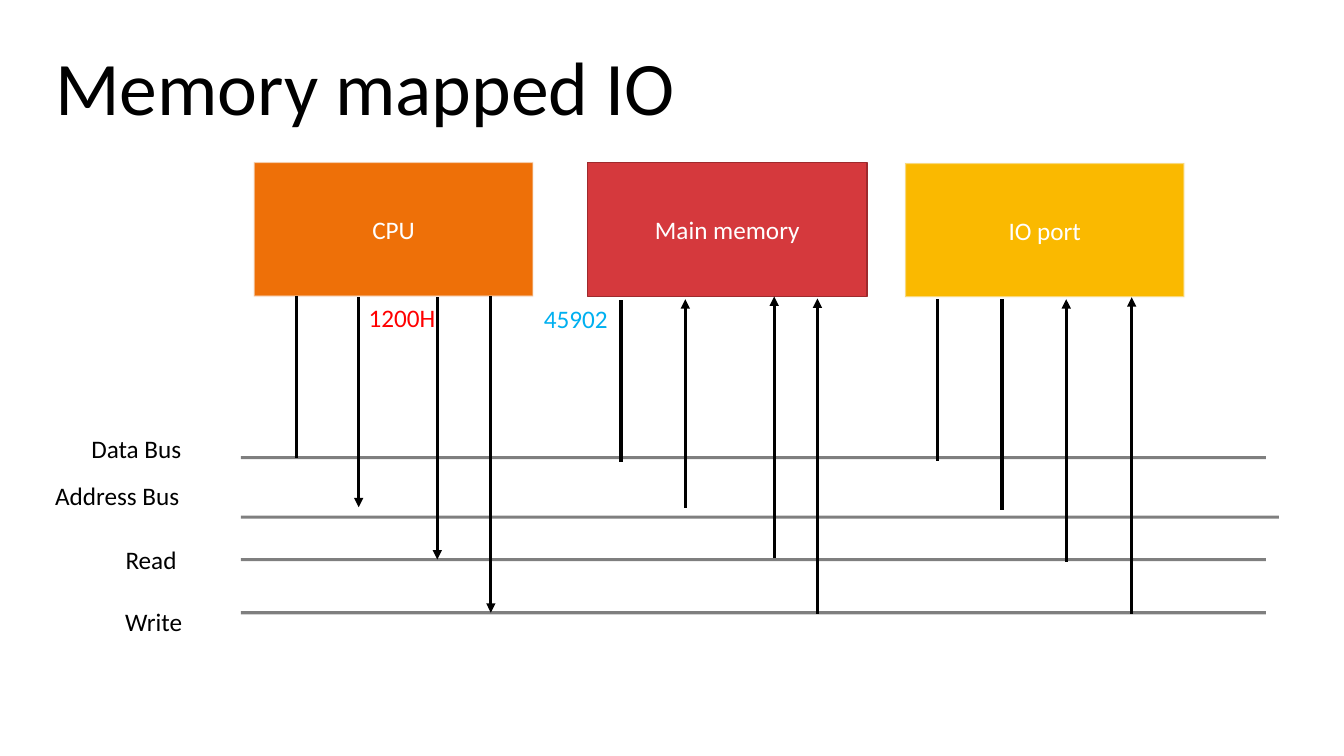
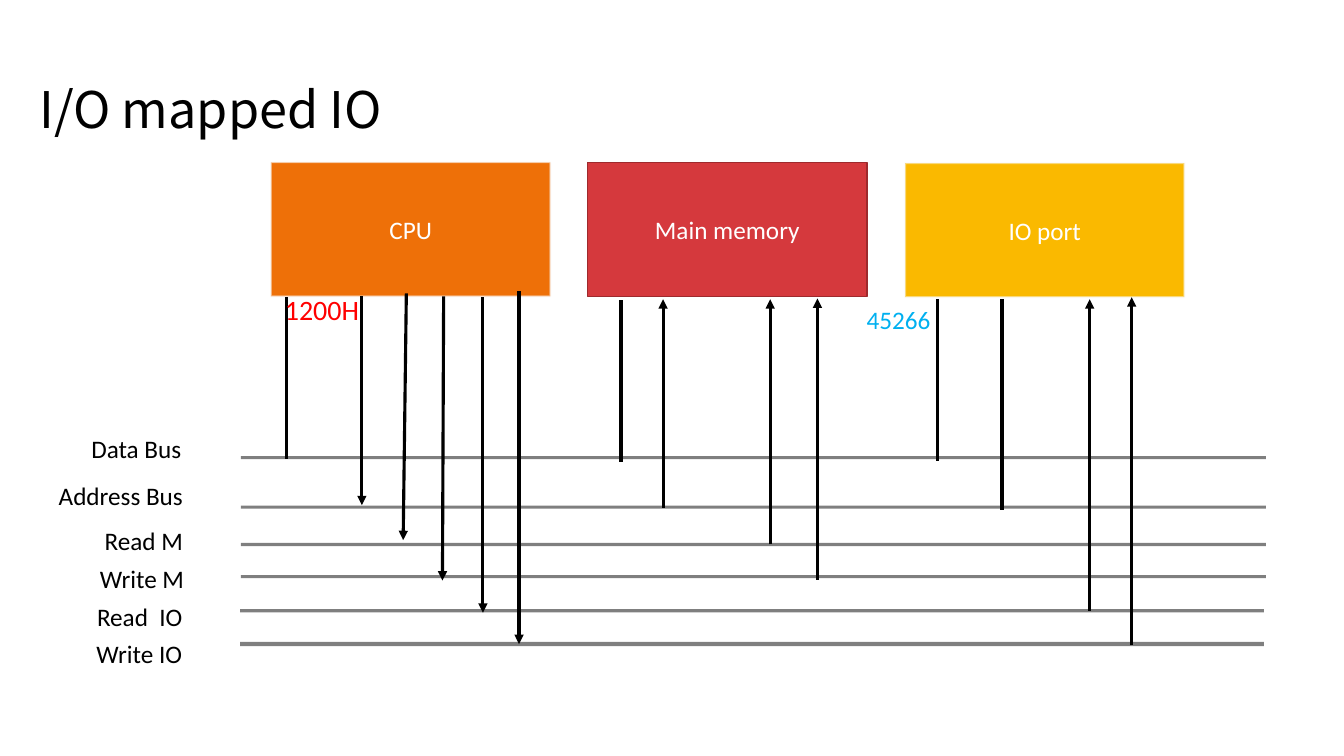
"""Build two bus diagrams comparing memory mapped and I/O mapped IO."""
import pptx
import pptx.dml.color
import pptx.enum.shapes
import pptx.enum.text
import pptx.oxml.ns
import pptx.util
from lxml import etree

Cm = pptx.util.Cm
Pt = pptx.util.Pt
RGBColor = pptx.dml.color.RGBColor
ALIGN = pptx.enum.text.PP_ALIGN

BLACK = RGBColor(0x00, 0x00, 0x00)
WHITE = RGBColor(0xFF, 0xFF, 0xFF)
ORANGE = RGBColor(0xEE, 0x70, 0x08)
CRIMSON = RGBColor(0xD5, 0x39, 0x3D)
DARK_CRIMSON = RGBColor(0x9E, 0x2A, 0x2D)
YELLOW = RGBColor(0xFA, 0xB9, 0x00)
PALE = RGBColor(0xF9, 0xF9, 0xF9)
RED = RGBColor(0xFF, 0x00, 0x00)
SKY = RGBColor(0x00, 0xB0, 0xF0)

FONT = "Calibri"
TITLE_FONT = "Noto Sans CJK JP"
LABEL_WIDTH, LABEL_HEIGHT = 4.2, 1.02
BLOCK_WIDTH, BLOCK_HEIGHT = 7.04, 3.38
BUS_LEFT, BUS_RIGHT = 6.07, 31.9
DATA_LABEL = ("Data Bus", 4.82, 10.8)
SHARED_WIRES = [(15.65, 7.57, 11.63), (23.62, 7.54, 11.61), (25.25, 7.54, 12.85)]


def style_paragraph(paragraph, size, color, align, font=FONT):
    """Set the font and alignment of a paragraph."""
    paragraph.alignment = align
    paragraph.font.name = font
    paragraph.font.size = Pt(size)
    paragraph.font.color.rgb = color


def find_line(shape):
    """Return the outline element of a shape."""
    return shape.element.spPr.find(pptx.oxml.ns.qn("a:ln"))


def make_half_transparent(shape):
    """Make the outline of a shape half transparent."""
    color = next(find_line(shape).iter(pptx.oxml.ns.qn("a:srgbClr")))
    etree.SubElement(color, pptx.oxml.ns.qn("a:alpha"), val="50000")


def add_text(slide, text, left, top, width, height=LABEL_HEIGHT, size=18,
             color=BLACK, align=ALIGN.LEFT, font=FONT):
    """Add a text box with one paragraph."""
    shape = slide.shapes.add_textbox(Cm(left), Cm(top), Cm(width), Cm(height))
    frame = shape.text_frame
    frame.word_wrap = True
    frame.text = text
    style_paragraph(frame.paragraphs[0], size, color, align, font)


def add_block(slide, text, left, top, fill, outline, outline_width):
    """Add a filled block with a centred name."""
    shape = slide.shapes.add_shape(
        pptx.enum.shapes.MSO_SHAPE.RECTANGLE,
        Cm(left), Cm(top), Cm(BLOCK_WIDTH), Cm(BLOCK_HEIGHT))
    shape.shadow.inherit = False
    shape.fill.solid()
    shape.fill.fore_color.rgb = fill
    shape.line.color.rgb = outline
    shape.line.width = Pt(outline_width)
    if outline == PALE:
        make_half_transparent(shape)
    frame = shape.text_frame
    frame.text = text
    frame.vertical_anchor = pptx.enum.text.MSO_ANCHOR.MIDDLE
    style_paragraph(frame.paragraphs[0], 18, WHITE, ALIGN.CENTER)


def add_blocks(slide, cpu_left):
    """Add the CPU, memory and port blocks."""
    add_block(slide, "CPU", cpu_left, 4.09, ORANGE, PALE, 1.35)
    add_block(slide, "Main memory", 14.81, 4.09, CRIMSON, DARK_CRIMSON, 0.85)
    add_block(slide, "IO port", 22.81, 4.11, YELLOW, PALE, 1.35)


def add_line(slide, start_x, start_y, end_x, end_y, width=2.25):
    """Add a plain black connector."""
    connector = slide.shapes.add_connector(
        pptx.enum.shapes.MSO_CONNECTOR.STRAIGHT,
        Cm(start_x), Cm(start_y), Cm(end_x), Cm(end_y))
    connector.line.color.rgb = BLACK
    connector.line.width = Pt(width)
    etree.SubElement(connector.element.spPr, pptx.oxml.ns.qn("a:effectLst"))
    return connector


def add_bus(slide, y, left=BUS_LEFT, right=BUS_RIGHT, width=2.25):
    """Add a horizontal bus line."""
    make_half_transparent(add_line(slide, left, y, right, y, width))


def add_signals(slide, wires, arrows):
    """Add plain wires and arrows, each as x, start, end and optional end x."""
    for x, start, end in wires:
        add_line(slide, x, start, x, end)
    for x, start, end, *end_x in arrows:
        connector = add_line(slide, x, start, end_x[0] if end_x else x, end)
        etree.SubElement(find_line(connector), pptx.oxml.ns.qn("a:tailEnd"),
                         type="triangle")


def add_labels(slide, labels):
    """Add the bus names, each as text, right edge and top."""
    for text, right, top in labels:
        add_text(slide, text, right - LABEL_WIDTH, top, LABEL_WIDTH,
                 align=ALIGN.RIGHT)


def build_memory_mapped(slide):
    """Draw the memory mapped diagram."""
    add_text(slide, "Memory mapped IO", 1.14, 0.89, 18.36, 2.57, size=54)
    add_bus(slide, 11.53)
    add_bus(slide, 13.03, right=32.23)
    for y in (14.1, 15.44):
        add_bus(slide, y)
    add_blocks(slide, 6.4)
    add_signals(slide, [(7.47, 7.47, 11.53)] + SHARED_WIRES, [
        (9.04, 7.49, 12.78), (11.02, 7.49, 14.1), (12.37, 7.47, 15.44),
        (17.27, 12.8, 7.54), (19.51, 14.07, 7.47), (20.6, 15.47, 7.52),
        (26.87, 14.15, 7.54), (28.52, 15.47, 7.49)])
    add_labels(slide, [
        DATA_LABEL, ("Address Bus", 4.77, 11.99),
        ("Read", 4.7, 13.59), ("Write", 4.84, 15.16)])
    add_text(slide, "1200H", 9.04, 7.49, 2.5, color=RED)
    add_text(slide, "45902", 13.46, 7.52, 2.5, color=SKY)


def build_io_mapped(slide):
    """Draw the I/O mapped diagram."""
    add_text(slide, "I/O mapped IO", 0.74, 1.85, 14.07, 1.8, size=36,
             font=TITLE_FONT)
    for y in (11.53, 12.78, 13.72, 14.53):
        add_bus(slide, y)
    for y, width in ((15.39, 2.25), (16.23, 3)):
        add_bus(slide, y, 6.05, 31.85, width)
    add_blocks(slide, 6.83)
    add_signals(slide, [(7.21, 7.49, 11.56)] + SHARED_WIRES, [
        (9.12, 7.47, 12.73), (10.24, 7.39, 13.61, 10.16),
        (11.18, 7.47, 14.63, 11.15), (12.17, 7.49, 15.44),
        (13.08, 7.34, 16.23), (16.71, 12.8, 7.54), (19.41, 13.72, 7.54),
        (20.6, 14.61, 7.52), (27.46, 15.39, 7.54), (28.52, 16.26, 7.49)])
    add_labels(slide, [
        DATA_LABEL, ("Address Bus", 4.86, 11.99),
        ("Read M", 4.86, 13.11), ("Write M", 4.89, 14.07),
        ("Read  IO", 4.85, 15.04), ("Write IO", 4.84, 15.95)])
    add_text(slide, "1200H", 6.93, 7.24, 5.08, 1.12, size=20, color=RED)
    add_text(slide, "45266", 21.59, 7.54, 5.08, color=SKY)


def main():
    """Build and save the presentation."""
    presentation = pptx.Presentation()
    presentation.slide_width = Cm(33.87)
    presentation.slide_height = Cm(19.05)
    for build in (build_memory_mapped, build_io_mapped):
        build(presentation.slides.add_slide(presentation.slide_layouts[6]))
    presentation.save("out.pptx")


if __name__ == "__main__":
    main()
